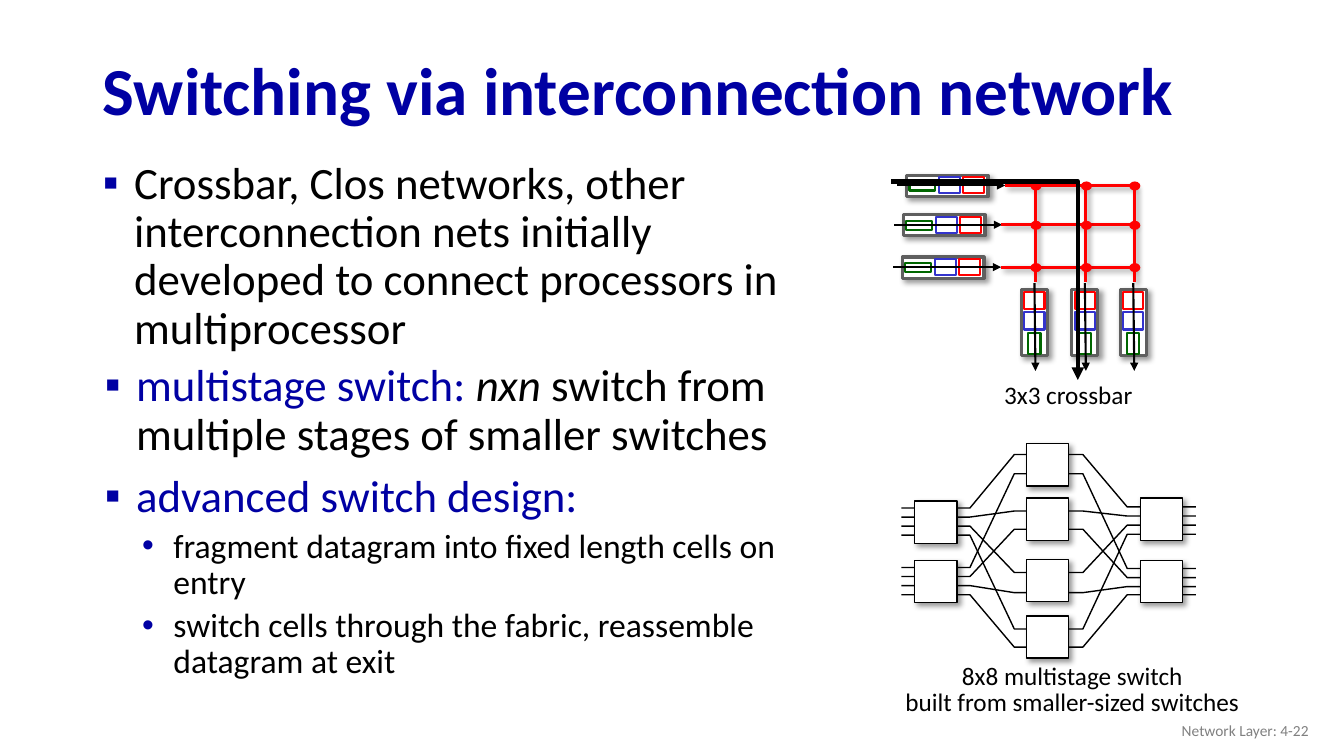
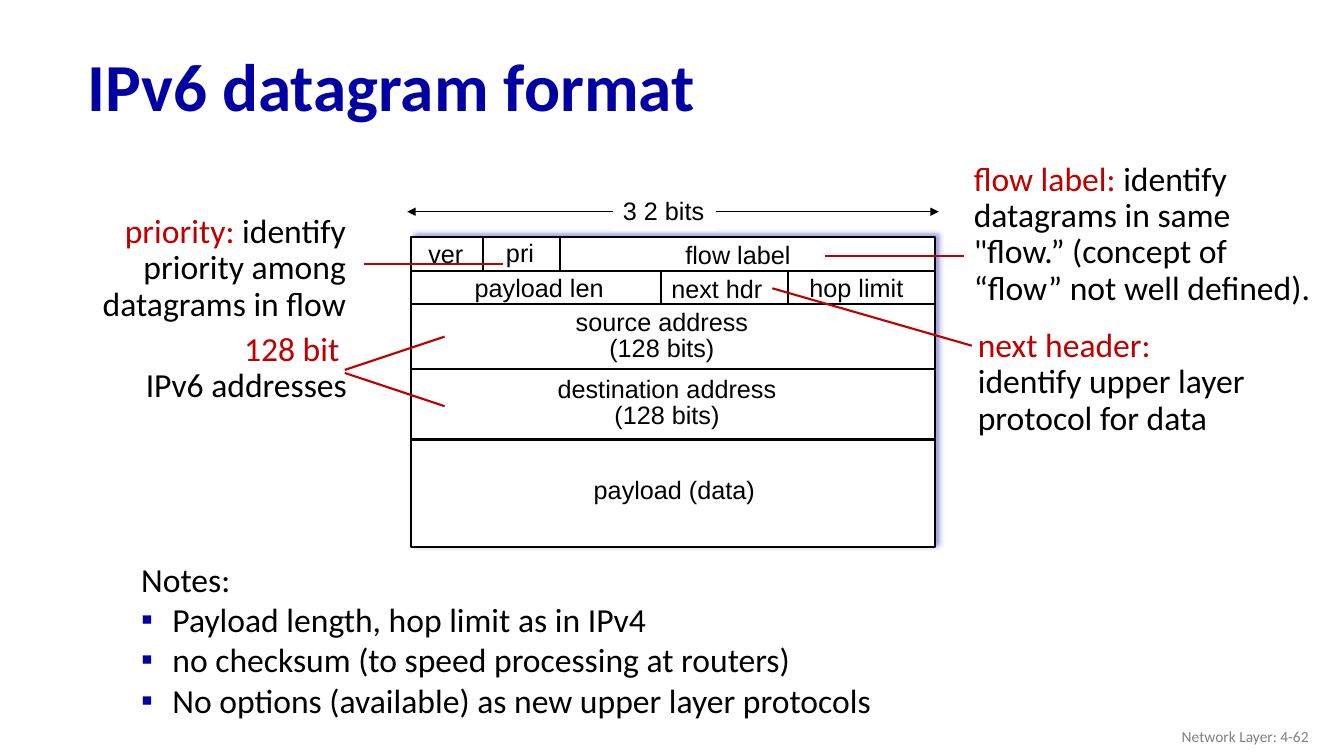
from dataclasses import dataclass
from itertools import product
from typing import NamedTuple

from lxml.etree import SubElement
from pptx import Presentation
from pptx.dml.color import RGBColor
from pptx.enum.shapes import MSO_CONNECTOR as Conn, MSO_SHAPE as Shape
from pptx.enum.text import MSO_ANCHOR as Anchor, MSO_AUTO_SIZE as Fit, PP_ALIGN as Align
from pptx.oxml.ns import qn
from pptx.util import Pt

PX = 9144  # EMU in one px, a hundredth of an inch


@dataclass(frozen=True)
class Theme:
    font: str = "Calibri"
    label_font: str = "Arial"
    blue: str = "0000A3"
    red: str = "C00000"
    black: str = "000000"
    white: str = "FFFFFF"
    grey: str = "808080"
    frame: str = "5F5F5F"
    wire: str = "FF0000"
    cell_green: str = "006600"
    cell_blue: str = "3333CC"
    title: int = 48
    body: int = 32
    detail: int = 24
    label: int = 18
    footer: int = 11


T = Theme()


class Box(NamedTuple):
    x: int
    y: int
    w: int
    h: int


class Run(NamedTuple):
    text: str
    color: str = T.black
    italic: bool = False
    size: int | None = None


class Bullet(NamedTuple):
    char: str
    indent: int
    level: int = 0


class Para(NamedTuple):
    runs: tuple[Run, ...]
    bullet: Bullet | None = None
    before: int = 0


class Shadow(NamedTuple):
    color: str
    angle: int


class Line(NamedTuple):
    x1: int
    y1: int
    x2: int
    y2: int


class Cell(NamedTuple):
    dx: int
    dy: int
    w: int
    h: int
    color: str


class Wire(NamedTuple):
    """Heights of a wire at the left, middle and right switch stages."""
    left: int
    middle: int
    right: int


class Label(NamedTuple):
    box: Box
    lines: tuple[str, ...]


class Callout(NamedTuple):
    box: Box
    paras: tuple[Para, ...]
    align: Align
    lines: tuple[Line, ...]


SQUARE = Bullet("▪", 39)
DOT = Bullet("•", 76, 1)
NOTE = Bullet("▪", 31)
SOFT = Shadow(T.black, 45)
GLOW = Shadow(T.blue, 315)


def rgb(color):
    return RGBColor.from_string(color)


def plain(*lines: str) -> list[Para]:
    return [Para((Run(line),)) for line in lines]


def set_bullet(p, bullet: Bullet | None) -> None:
    pPr = p._p.get_or_add_pPr()
    pPr.set("marL", str(bullet.indent * PX if bullet else 0))
    pPr.set("indent", str(-31 * PX if bullet else 0))
    if bullet is None:
        SubElement(pPr, qn("a:buNone"))
        return
    p.level = bullet.level
    SubElement(SubElement(pPr, qn("a:buClr")), qn("a:srgbClr"), val=T.blue)
    SubElement(pPr, qn("a:buFont"), typeface=T.label_font)
    SubElement(pPr, qn("a:buChar"), char=bullet.char)


def write(tf, paras, *, size, font=T.font, bold=False, align=Align.LEFT,
          spacing=1.0, anchor=Anchor.TOP, wrap=True, fit=Fit.NONE) -> None:
    tf.word_wrap, tf.auto_size, tf.vertical_anchor = wrap, fit, anchor
    for i, para in enumerate(paras):
        p = tf.add_paragraph() if i else tf.paragraphs[0]
        set_bullet(p, para.bullet)
        p.alignment, p.line_spacing = align, spacing
        p.space_before = Pt(para.before if i else 0)
        for run in para.runs:
            r = p.add_run()
            r.text = run.text
            r.font.name, r.font.size = font, Pt(run.size or size)
            r.font.bold, r.font.italic = bold, run.italic
            r.font.color.rgb = rgb(run.color)


def place(sp, box: Box) -> None:
    sp.left, sp.top, sp.width, sp.height = (v * PX for v in box)


def add_text(s, box: Box, paras, **fmt):
    sp = s.shapes.add_textbox(*(v * PX for v in box))
    write(sp.text_frame, paras, **fmt)
    return sp


def fill_placeholder(sp, box: Box, paras, **fmt) -> None:
    place(sp, box)
    write(sp.text_frame, paras, spacing=fmt.pop("spacing", 0.9), **fmt)


def set_effect(sp, shadow: Shadow | None) -> None:
    """Replace the inherited shadow by the given one, or by none."""
    effects = SubElement(sp._element.spPr, qn("a:effectLst"))
    if shadow:
        outer = SubElement(effects, qn("a:outerShdw"), blurRad=str(Pt(4)), dist=str(Pt(3)),
                           dir=str(shadow.angle * 60000), algn="ctr", rotWithShape="0")
        color = SubElement(outer, qn("a:srgbClr"), val=shadow.color)
        SubElement(color, qn("a:alpha"), val="40000")


def set_line(sp, color: str, width: float, head=False, tail=False) -> None:
    sp.line.color.rgb, sp.line.width = rgb(color), Pt(width)
    for on, tag in ((head, "a:headEnd"), (tail, "a:tailEnd")):
        if on:
            SubElement(sp.line._get_or_add_ln(), qn(tag), type="triangle")


def add_shape(s, box: Box, *, kind=Shape.RECTANGLE, fill=T.white, line=None,
              width=1.0, shadow=None) -> None:
    sp = s.shapes.add_shape(kind, *(v * PX for v in box))
    sp.fill.solid()
    sp.fill.fore_color.rgb = rgb(fill)
    if line:
        set_line(sp, line, width)
    else:
        sp.line.fill.background()
    set_effect(sp, shadow)


def add_line(s, line: Line, *, color=T.black, width=1.5, shadow=None, **ends) -> None:
    sp = s.shapes.add_connector(Conn.STRAIGHT, *(v * PX for v in line))
    set_line(sp, color, width, **ends)
    set_effect(sp, shadow)


def add_path(s, points, *, width: float, tail=False) -> None:
    start, *rest = points
    builder = s.shapes.build_freeform(*start, scale=PX)
    builder.add_line_segments(rest, close=False)
    sp = builder.convert_to_shape()
    sp.fill.background()
    set_line(sp, T.black, width, tail=tail)
    set_effect(sp, None)


def start_slide(prs, layout: int, title: str, title_box: Box, number: str, footer_y: int):
    s = prs.slides.add_slide(prs.slide_layouts[layout])
    fill_placeholder(s.shapes.title, title_box, [Para((Run(title, T.blue),))],
                     size=T.title, bold=True, anchor=Anchor.MIDDLE)
    add_text(s, Box(1008, footer_y, 300, 40), [Para((Run(f"Network Layer: {number}", T.grey),))],
             size=T.footer, align=Align.RIGHT, anchor=Anchor.MIDDLE)
    return s


def add_queue(s, frame: Box, cells, arrow: Line) -> None:
    add_shape(s, frame, line=T.frame, width=2.25, shadow=SOFT)
    for c in cells:
        add_shape(s, Box(frame.x + c.dx, frame.y + c.dy, c.w, c.h), line=c.color, width=1.5)
    add_line(s, arrow, tail=True)


def draw_crossbar(s) -> None:
    across = (Cell(3, 6, 25, 9, T.cell_green), Cell(32, 2, 21, 16, T.cell_blue),
              Cell(56, 2, 21, 16, T.wire))
    down = (Cell(7, 43, 12, 21, T.cell_green), Cell(3, 23, 20, 17, T.cell_blue),
            Cell(3, 3, 20, 17, T.wire))
    rows, columns = (184, 223, 265), (1027, 1077, 1125)
    for x, y in zip((899, 896, 895), rows):
        add_queue(s, Box(x, y - 10, 81, 21), across, Line(x - 9, y, x + 98, y))
    for x in columns:
        add_queue(s, Box(x - 14, 287, 26, 66), down, Line(x - 1, 281, x, 368))
    for x, y in zip((997, 993, 993), rows):
        add_line(s, Line(x, y, columns[-1], y), color=T.wire, width=2.25, shadow=SOFT)
    for x in columns:
        add_line(s, Line(x, 280, x, rows[0]), color=T.wire, width=2.25, shadow=SOFT)
    for x, y in product(columns, rows):
        add_shape(s, Box(x - 5, y - 4, 11, 9), kind=Shape.OVAL, fill=T.wire)
    add_path(s, [(884, 180), (1069, 180), (1069, 377)], width=3, tail=True)


def draw_multistage(s) -> None:
    stage_ends = (894, 962, 1006, 1074, 1118, 1186)
    wires = (Wire(504, 451, 503), Wire(590, 642, 590), Wire(513, 507, 512),
             Wire(581, 588, 582), Wire(522, 568, 521), Wire(572, 525, 573),
             Wire(531, 624, 530), Wire(563, 470, 564))
    for wire in wires:
        heights = [y for y in wire for _ in range(2)]
        add_path(s, list(zip(stage_ends, heights)), width=1)
    stages = {907: (497, 556), 1018: (440, 494, 555, 611), 1131: (494, 556)}
    for x, tops in stages.items():
        for y in tops:
            add_shape(s, Box(x, y, 42, 42), line=T.black, shadow=SOFT)


def build_switching(prs) -> None:
    s = start_slide(prs, 3, "Switching via interconnection network",
                    Box(92, 44, 1150, 98), "4-22", 705)
    intro = [Para((Run("Crossbar, Clos networks, other interconnection nets initially "
                       "developed to connect processors in multiprocessor"),), SQUARE)]
    designs = [
        Para((Run("multistage switch: ", T.blue), Run("nxn", italic=True),
              Run(" switch from multiple stages of smaller switches")), SQUARE),
        Para((Run("advanced switch design:", T.blue),), SQUARE, 10),
        *(Para((Run(text, size=T.detail),), DOT, 5) for text in (
            "fragment datagram into fixed length cells on entry",
            "switch cells through the fabric, reassemble datagram at exit")),
    ]
    fill_placeholder(s.placeholders[1], Box(84, 154, 708, 200), intro, size=T.body)
    fill_placeholder(s.placeholders[2], Box(86, 355, 708, 338), designs, size=T.body)
    draw_crossbar(s)
    draw_multistage(s)
    captions = (Label(Box(985, 376, 149, 36), ("3x3 crossbar",)),
                Label(Box(886, 655, 355, 62),
                      ("8x8 multistage switch", "built from smaller-sized switches")))
    for box, lines in captions:
        add_text(s, box, plain(*lines), size=T.label, align=Align.CENTER, spacing=0.85,
                 wrap=False, fit=Fit.SHAPE_TO_FIT_TEXT)


def draw_datagram(s) -> None:
    left, top, right = 408, 235, 927
    add_shape(s, Box(left, top, right - left, 308), line=T.black, width=1.5, shadow=GLOW)
    first, second, source, destination = 269, 302, 366, 436
    for y in (first, second, source, destination):
        add_line(s, Line(left, y, right, y))
    for x in (479, 555):
        add_line(s, Line(x, top, x, first))
    for x in (656, 782):
        add_line(s, Line(x, first, x, second))
    add_line(s, Line(404, 210, 931, 210), width=0.75, head=True, tail=True)
    labels = (
        Label(Box(415, 232, 55, 40), ("ver",)),
        Label(Box(492, 231, 48, 40), ("pri",)),
        Label(Box(670, 233, 124, 40), ("flow label",)),
        Label(Box(461, 265, 148, 40), ("payload len",)),
        Label(Box(656, 266, 110, 40), ("next hdr",)),
        Label(Box(793, 265, 113, 40), ("hop limit",)),
        Label(Box(561, 304, 191, 61), ("source address", "(128 bits)")),
        Label(Box(543, 370, 237, 61), ("destination address", "(128 bits)")),
        Label(Box(579, 466, 181, 40), ("payload (data)",)),
        Label(Box(608, 189, 102, 40), ("3 2 bits",)),
    )
    for box, lines in labels:
        stacked = len(lines) > 1
        sp = add_text(s, box, plain(*lines), size=T.label, font=T.label_font, wrap=False,
                      align=Align.CENTER if stacked else Align.LEFT,
                      spacing=0.85 if stacked else 1.0, fit=Fit.SHAPE_TO_FIT_TEXT)
    sp.fill.solid()
    sp.fill.fore_color.rgb = rgb(T.white)


def build_datagram(prs) -> None:
    s = start_slide(prs, 1, "IPv6 datagram format", Box(77, 31, 1150, 117), "4-62", 711)
    draw_datagram(s)
    callouts = (
        Callout(Box(17, 208, 336, 119), (Para((Run("priority: ", T.red), Run(
            "identify priority among datagrams in flow"))),),
            Align.RIGHT, (Line(361, 262, 499, 262),)),
        Callout(Box(956, 156, 354, 156), (Para((Run("flow label: ", T.red), Run(
            'identify datagrams in same "flow.” (concept of “flow” not well defined).'))),),
            Align.LEFT, (Line(818, 254, 956, 254),)),
        Callout(Box(960, 321, 291, 119), (Para((Run("next header: ", T.red), Run(
            "identify upper layer protocol for data"))),),
            Align.LEFT, (Line(766, 286, 964, 343),)),
        Callout(Box(0, 325, 354, 83), (Para((Run("128 bit ", T.red),)), *plain("IPv6 addresses")),
                Align.RIGHT, (Line(342, 370, 441, 403), Line(342, 367, 441, 334))),
    )
    for c in callouts:
        add_text(s, c.box, c.paras, size=T.detail, align=c.align, spacing=0.9)
        for line in c.lines:
            add_line(s, line, color=T.red)
    notes = plain("Notes:") + [Para((Run(text),), NOTE) for text in (
        "Payload length, hop limit as in IPv4",
        "no checksum (to speed processing at routers)",
        "No options (available) as new upper layer protocols")]
    fill_placeholder(s.placeholders[1], Box(130, 549, 981, 172), notes, size=T.detail, spacing=1.0)


def main() -> None:
    prs = Presentation()
    prs.slide_width, prs.slide_height = 1333 * PX, 750 * PX
    build_switching(prs)
    build_datagram(prs)
    prs.save("out.pptx")


if __name__ == "__main__":
    main()
